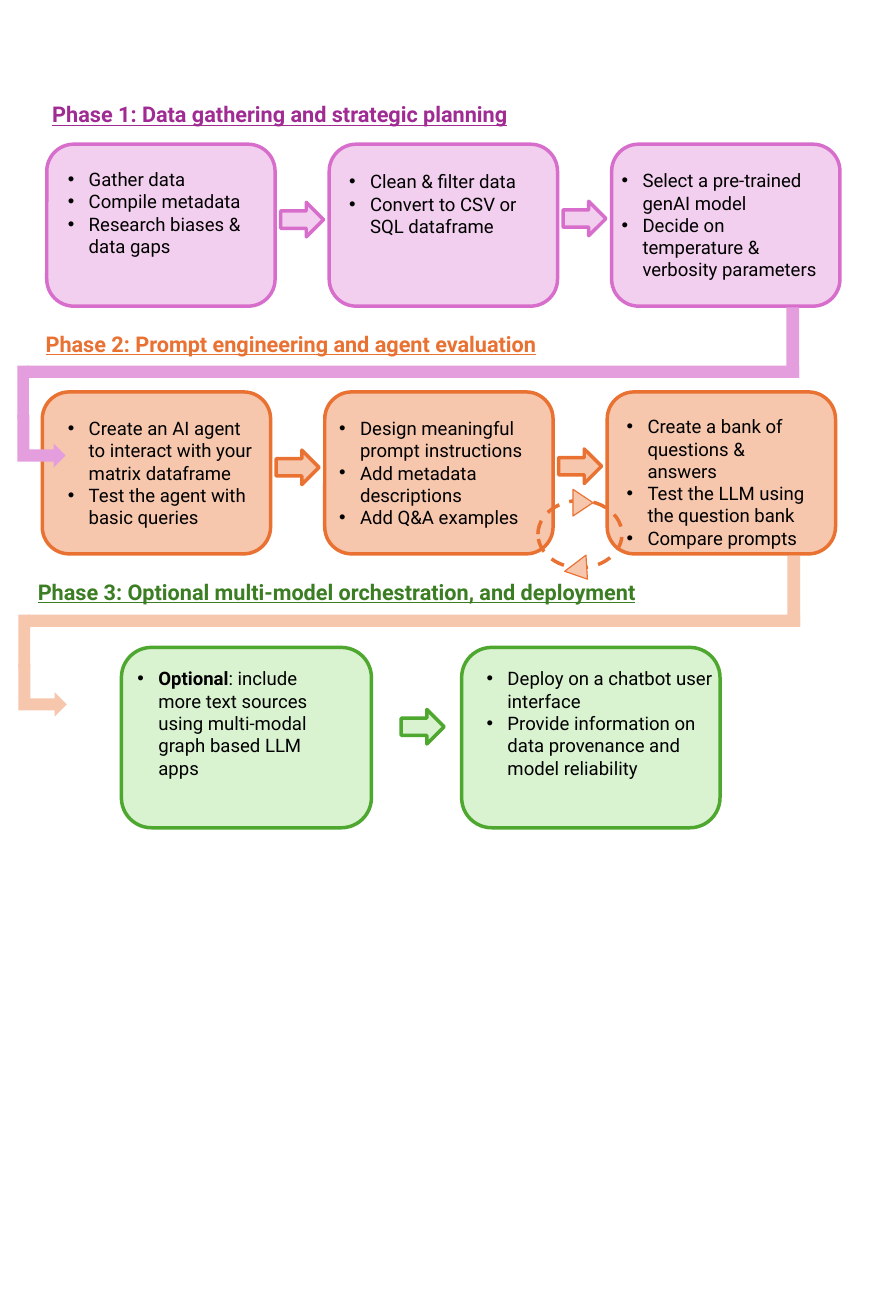
from dataclasses import dataclass

from lxml import etree
from pptx import Presentation
from pptx.dml.color import RGBColor
from pptx.enum import dml, shapes, text
from pptx.oxml import ns
from pptx.util import Pt

KIND = shapes.MSO_SHAPE


@dataclass(frozen=True)
class Palette:
    """Colours of one phase."""
    title: str
    fill: str
    line: str
    pipe: str = ""


@dataclass(frozen=True)
class Theme:
    """Colours, font and sizes of the page."""
    pink: Palette = Palette("A02B93", "F2CFEE", "D86ECC", "E59EDD")
    orange: Palette = Palette("E97132", "F6C6AD", "E97132", "F6C6AD")
    green: Palette = Palette("3B7D23", "D9F2D0", "4EA72E")
    ink: str = "000000"
    font: str = "Roboto"
    title_size: float = 28
    body_size: float = 24
    border: float = 4.5
    thin: float = 1.5
    indent: float = 27


THEME = Theme()


@dataclass(frozen=True)
class Card:
    """A card's place in its phase, its text offset and its bullets."""
    left: float
    width: float
    text_box: tuple
    bullets: tuple


def add_span(para, words, size=THEME.body_size, color=THEME.ink, bold=False, underline=False):
    """Append formatted text to a paragraph."""
    span = para.add_run()
    span.text = words
    font = span.font
    font.name, font.size, font.bold = THEME.font, Pt(size), bold
    font.underline = underline
    font.color.rgb = RGBColor.from_string(color)


def add_figure(page, kind, box, fill=None, line=None, weight=THEME.border, rotation=0):
    """Draw a preset shape in a box given in points."""
    figure = page.shapes.add_shape(kind, *map(Pt, box))
    figure.shadow.inherit = False
    figure.rotation = rotation
    if fill:
        figure.fill.solid()
        figure.fill.fore_color.rgb = RGBColor.from_string(fill)
    else:
        figure.fill.background()
    if line:
        figure.line.color.rgb = RGBColor.from_string(line)
        figure.line.width = Pt(weight)
    else:
        figure.line.fill.background()
    return figure


def add_frame(page, box, wrap=True):
    """Add a text box that grows with its text and return its frame."""
    frame = page.shapes.add_textbox(*map(Pt, box)).text_frame
    frame.word_wrap = wrap
    frame.auto_size = text.MSO_AUTO_SIZE.SHAPE_TO_FIT_TEXT
    return frame


def add_bullets(page, box, bullets):
    """Write a bulleted list; each bullet is text or (text, bold) spans."""
    frame = add_frame(page, box)
    for index, bullet in enumerate(bullets):
        para = frame.paragraphs[0] if index == 0 else frame.add_paragraph()
        props = para._p.get_or_add_pPr()
        props.set("marL", str(Pt(THEME.indent)))
        props.set("indent", str(-Pt(THEME.indent)))
        etree.SubElement(props, ns.qn("a:buFont")).set("typeface", "Arial")
        etree.SubElement(props, ns.qn("a:buChar")).set("char", "•")
        spans = [(bullet, False)] if isinstance(bullet, str) else bullet
        for words, bold in spans:
            add_span(para, words, bold=bold)


def add_phase(page, box, palette, title, title_box, cards, arrows):
    """Draw a phase: its heading, its cards and the arrows between them."""
    left, top, height = box
    dx, dy, width = title_box
    frame = add_frame(page, (left + dx, top + dy, width, 41), wrap=False)
    add_span(frame.paragraphs[0], title, size=THEME.title_size,
             color=palette.title, bold=True, underline=True)
    for card in cards:
        add_figure(page, KIND.ROUNDED_RECTANGLE, (left + card.left, top, card.width, height),
                   palette.fill, palette.line)
    for dx, dy in arrows:
        add_figure(page, KIND.DOWN_ARROW, (left + dx, top + dy, 44.64, 55.44),
                   palette.fill, palette.line, rotation=270)
    for card in cards:
        dx, dy, width, depth = card.text_box
        add_bullets(page, (left + card.left + dx, top + dy, width, depth), card.bullets)


def add_pipe(page, box, color):
    """Draw the thick bent arrow that leads to the next phase."""
    left, top = box
    pieces = [
        (KIND.RECTANGLE, 997.2, 0, 16.56, 91.44, 0),
        (KIND.RECTANGLE, 2.88, 75.6, 15.12, 68.4, 0),
        (KIND.RECTANGLE, 15.84, 75.6, 997.92, 15.84, 0),
        (KIND.BENT_UP_ARROW, 0, 141.84, 68.4, 62.64, 90),
    ]
    for kind, dx, dy, width, height, rotation in pieces:
        add_figure(page, kind, (left + dx, top + dy, width, height), color, rotation=rotation)


def add_loop(page, box, palette):
    """Draw the dashed feedback loop with its two arrowheads."""
    left, top = box[:2]
    ring = add_figure(page, KIND.OVAL, box, line=palette.line)
    ring.line.dash_style = dml.MSO_LINE.DASH
    for dx, dy, rotation in [(41, -10.1, 90), (38.9, 78.5, 142.8)]:
        add_figure(page, KIND.ISOSCELES_TRIANGLE, (left + dx, top + dy, 34.56, 25.92),
                   palette.fill, palette.line, THEME.thin, rotation)


def build_page(page):
    """Place the three phases, the pipes and the loop."""
    step, width = 365.2, 295.2
    arrows = [(307.8, 69.84), (307.8 + step, 68.4)]
    gathering = [
        Card(0, width, (20.16, 27.36, 255.6, 123.84),
             ("Gather data", "Compile metadata", "Research biases & data gaps")),
        Card(step, width, (18.72, 30.24, 231.12, 94.32),
             ("Clean & filter data", "Convert to CSV or SQL dataframe")),
        Card(2 * step, width, (5.76, 28.8, 281.52, 123.84),
             ("Select a pre-trained genAI model", "Decide on temperature & verbosity parameters")),
    ]
    prompting = [
        Card(0, width, (25.92, 28.8, 255.6, 152.64),
             ("Create an AI agent to interact with your matrix dataframe",
              "Test the agent with basic queries")),
        Card(step, width, (11.52, 28.8, 255.6, 152.64),
             ("Design meaningful prompt instructions", "Add metadata descriptions",
              "Add Q&A examples")),
        Card(2 * step, width, (18, 26.64, 255.6, 152.64),
             ("Create a bank of questions & answers", "Test the LLM using the question bank",
              "Compare prompts")),
    ]
    deployment = [
        Card(0, 323.28, (13.68, 22.32, 255.6, 152.64),
             ((("Optional", True),
               (": include more text sources using multi-modal graph based LLM apps", False)),)),
        Card(439.92, 334.08, (25.2, 22.32, 309.6, 152.64),
             ("Deploy on a chatbot user interface",
              "Provide information on data provenance and model reliability")),
    ]
    add_phase(page, (60.48, 186.48, 209.52), THEME.pink,
              "Phase 1: Data gathering and strategic planning", (0, -59.04, 607.68),
              gathering, arrows)
    add_phase(page, (54.72, 506.88, 209.52), THEME.orange,
              "Phase 2: Prompt engineering and agent evaluation", (-2.88, -82.8, 655.2),
              prompting, arrows)
    add_phase(page, (156.96, 837.36, 233.28), THEME.green,
              "Phase 3: Optional multi-model orchestration, and deployment",
              (-115.2, -92.16, 808.56), deployment, [(367.2, 74.88)])
    add_pipe(page, (19.44, 397.44), THEME.pink.pipe)
    add_pipe(page, (20.88, 719.28), THEME.orange.pipe)
    add_loop(page, (695.52, 647.28, 108.72, 87.12), THEME.orange)


def main():
    """Build and save the deck."""
    deck = Presentation()
    deck.slide_width, deck.slide_height = Pt(1158.48), Pt(1702.08)
    build_page(deck.slides.add_slide(deck.slide_layouts[6]))
    deck.save("out.pptx")


if __name__ == "__main__":
    main()
